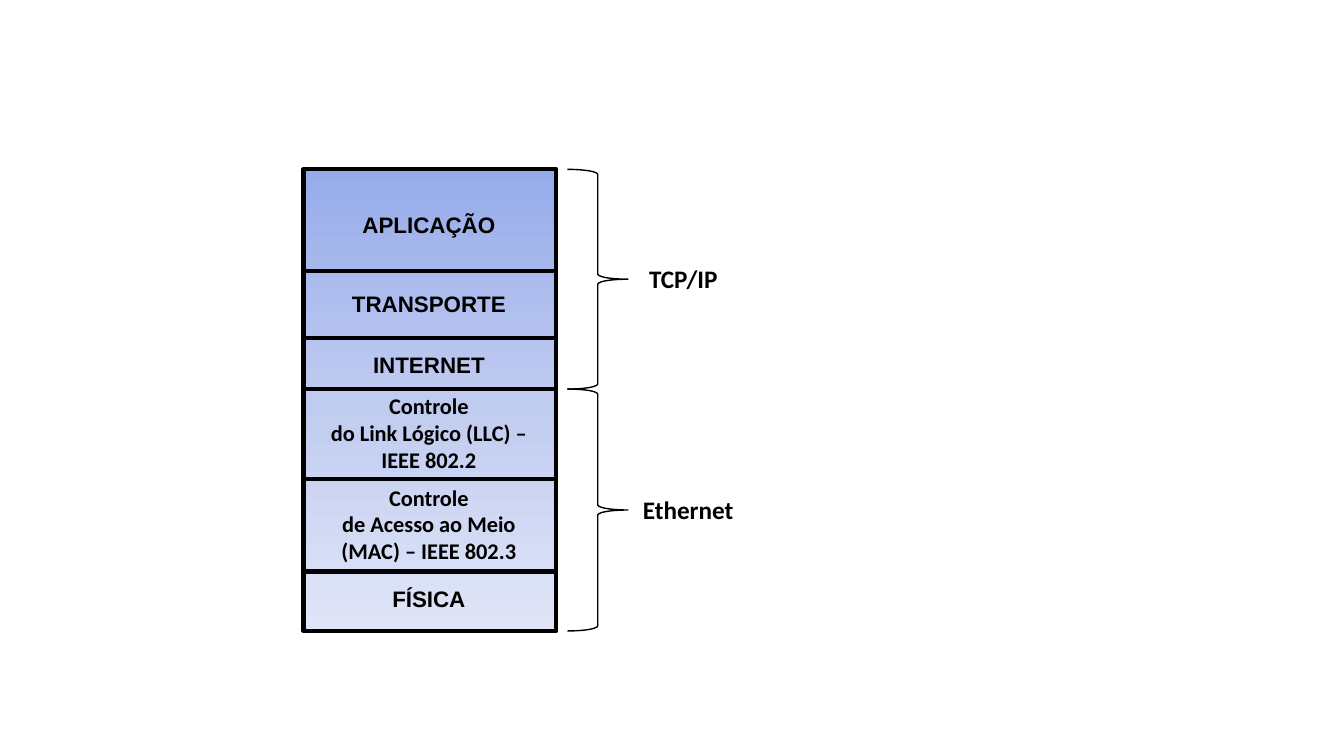
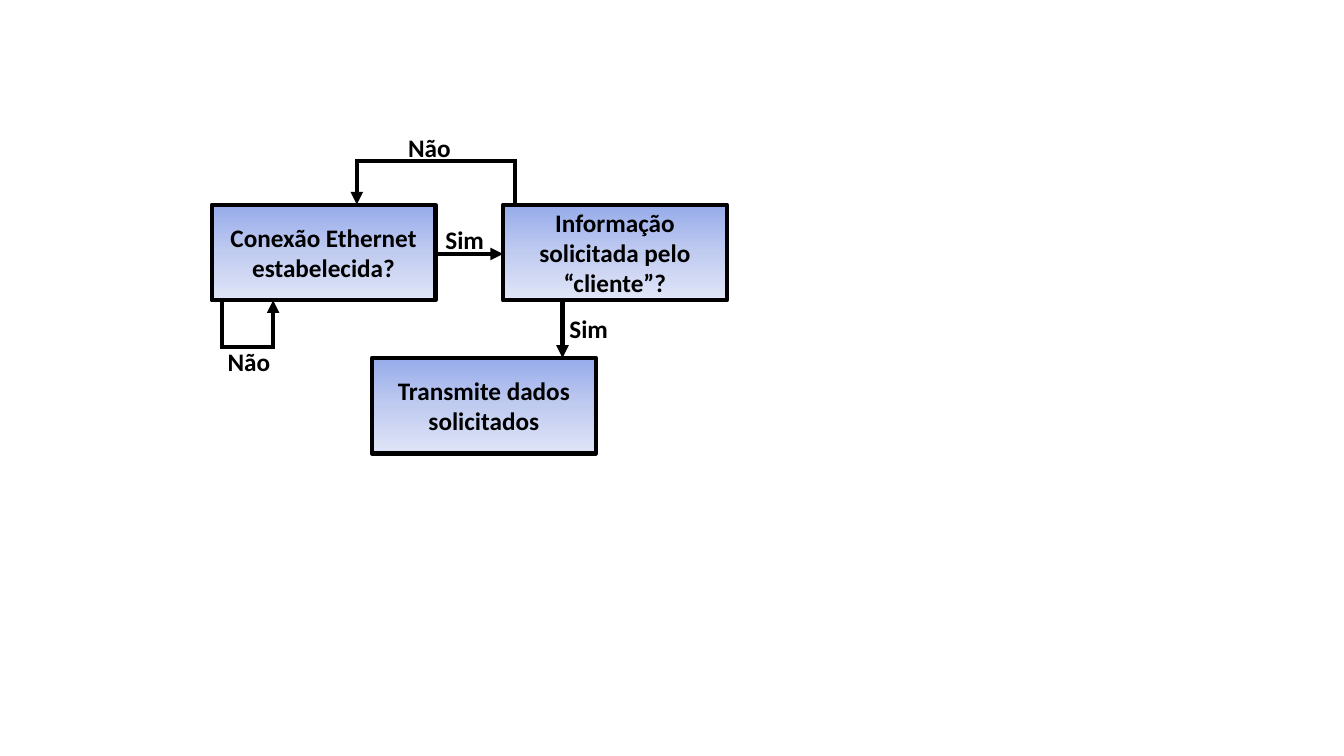
from copy import deepcopy
from dataclasses import dataclass
from itertools import pairwise

from pptx import Presentation
from pptx.dml.color import RGBColor
from pptx.enum.shapes import MSO_CONNECTOR, MSO_SHAPE
from pptx.enum.text import MSO_ANCHOR, PP_ALIGN
from pptx.oxml.ns import qn
from pptx.oxml.xmlchemy import OxmlElement
from pptx.shapes.autoshape import Shape
from pptx.slide import Slide
from pptx.text.text import TextFrame
from pptx.util import Emu, Inches, Pt

# Shared look
BLACK = RGBColor(0x00, 0x00, 0x00)
SHADES = (
    RGBColor(0x96, 0xAB, 0xEA),
    RGBColor(0xC0, 0xCB, 0xF0),
    RGBColor(0xE0, 0xE5, 0xF7),
)
BOLD_LINE, THIN_LINE = 3, 1
SANS, BODY = "Arial", "Calibri"
LEFT, MID = PP_ALIGN.LEFT, PP_ALIGN.CENTER

# Grid: ten columns or rows to the inch
CELL = Inches(0.1)
WIDE, HIGH = 133.33, 75
Point = tuple[float, float]


@dataclass(frozen=True)
class Area:
    col: float
    row: float
    cols: float
    rows: float


@dataclass(frozen=True)
class Label:
    text: str
    area: Area
    font: str = BODY
    size: int = 18
    align: PP_ALIGN = LEFT


@dataclass(frozen=True)
class Brace:
    top: float
    end: float
    label: Label


@dataclass(frozen=True)
class Route:
    points: tuple[Point, ...]
    label: Label


def cells(*counts: float) -> list[Emu]:
    return [Emu(round(count * CELL)) for count in counts]


def write(frame: TextFrame, label: Label) -> None:
    frame.word_wrap = True
    frame.text = label.text
    for para in frame.paragraphs:
        para.alignment = label.align
        for run in para.runs:
            run.font.name = label.font
            run.font.size = Pt(label.size)
            run.font.bold = True
            run.font.color.rgb = BLACK


def add_label(slide: Slide, label: Label) -> None:
    area = label.area
    box = slide.shapes.add_textbox(*cells(area.col, area.row, area.cols, area.rows))
    write(box.text_frame, label)


def add_form(slide: Slide, kind: MSO_SHAPE, area: Area, width: float) -> Shape:
    form = slide.shapes.add_shape(kind, *cells(area.col, area.row, area.cols, area.rows))
    form.shadow.inherit = False
    form.line.color.rgb = BLACK
    form.line.width = Pt(width)
    return form


def add_box(slide: Slide, area: Area) -> Shape:
    box = add_form(slide, MSO_SHAPE.RECTANGLE, area, BOLD_LINE)
    box.fill.gradient()
    box.fill.gradient_angle = 270
    # A third stop between the two default ones
    first = box.element.spPr.find(qn("a:gradFill")).find(qn("a:gsLst"))[0]
    first.addnext(deepcopy(first))
    for order, (stop, shade) in enumerate(zip(box.fill.gradient_stops, SHADES)):
        stop.color.rgb = shade
        stop.position = order / (len(SHADES) - 1)
    return box


def add_line(slide: Slide, start: Point, end: Point, arrow: bool = False,
             corner: bool = False) -> None:
    line = slide.shapes.add_connector(MSO_CONNECTOR.STRAIGHT, *cells(*start, *end))
    line.line.color.rgb = BLACK
    line.line.width = Pt(BOLD_LINE)
    line.element.spPr.append(OxmlElement("a:effectLst"))
    stroke = line.line._get_or_add_ln()
    if corner:
        stroke.set("cap", "sq")
    if arrow:
        tail = OxmlElement("a:tailEnd")
        tail.set("type", "triangle")
        stroke.append(tail)


def add_route(slide: Slide, route: Route) -> None:
    for start, end in pairwise(route.points):
        last = end == route.points[-1]
        add_line(slide, start, end, arrow=last, corner=not last)
    add_label(slide, route.label)


# Slide 1: protocol layers
STACK = Area(30.1, 16.8, 25.1, 45.8)
BASE = STACK.row + STACK.rows
SPLITS = (26.9, 33.5, 38.6, 47.5, 56.7)


def layer(text: str, row: float, font: str = SANS) -> Label:
    return Label(text, Area(31.4, row, 22.3, 3.7), font, 16, MID)


LAYERS = (
    layer("APLICAÇÃO", 20.5),
    layer("TRANSPORTE", 28.3),
    layer("INTERNET", 34.3),
    layer("Controle\ndo Link Lógico (LLC) – IEEE 802.2", 38.4, BODY),
    layer("Controle\nde Acesso ao Meio (MAC) – IEEE 802.3", 47.5, BODY),
    layer("FÍSICA", 57.6),
)
BRACES = (
    Brace(STACK.row, SPLITS[2], Label("TCP/IP", Area(63.4, 25.6, 8.9, 4))),
    Brace(SPLITS[2], BASE, Label("Ethernet", Area(62.8, 48.6, 11.2, 4))),
)


def draw_stack(slide: Slide) -> None:
    add_box(slide, STACK)
    for row in SPLITS:
        add_line(slide, (STACK.col, row), (STACK.col + STACK.cols, row))
    for label in LAYERS:
        add_label(slide, label)
    for brace in BRACES:
        area = Area(56.3, brace.top, 6, brace.end - brace.top)
        add_form(slide, MSO_SHAPE.RIGHT_BRACE, area, THIN_LINE).fill.background()
        add_label(slide, brace.label)


# Slide 2: connection flow
def step(text: str, col: float, row: float) -> Label:
    return Label(text, Area(col, row, 22.2, 9.5), align=MID)


TOP, LOW, NEXT = 20.3, 29.8, 35.5
STEPS = (
    step("Transmite dados solicitados", 36.9, NEXT),
    step("Conexão Ethernet estabelecida?", 21, TOP),
    step("Informação solicitada pelo “cliente”?", 49.9, TOP),
)
ROUTES = (
    Route(((43.1, 25.2), (49.9, 25.2)), Label("Sim", Area(43.2, 21.8, 6.2, 4))),
    Route(((55.8, LOW), (55.8, NEXT)), Label("Sim", Area(55.5, 30.6, 6.2, 4))),
    Route(((51.1, TOP), (51.1, 16), (35.4, 16), (35.4, TOP)),
          Label("Não", Area(39.5, 12.6, 8.2, 4))),
    Route(((22, LOW), (22, 34.4), (27.1, 34.4), (27.1, LOW)),
          Label("Não", Area(21.6, 33.9, 8.2, 4))),
)


def draw_flow(slide: Slide) -> None:
    for label in STEPS:
        frame = add_box(slide, label.area).text_frame
        frame.vertical_anchor = MSO_ANCHOR.MIDDLE
        write(frame, label)
    for route in ROUTES:
        add_route(slide, route)


def main() -> None:
    deck = Presentation()
    deck.slide_width, deck.slide_height = cells(WIDE, HIGH)
    blank = deck.slide_layouts[6]
    for draw in (draw_stack, draw_flow):
        draw(deck.slides.add_slide(blank))
    deck.save("out.pptx")


if __name__ == "__main__":
    main()
